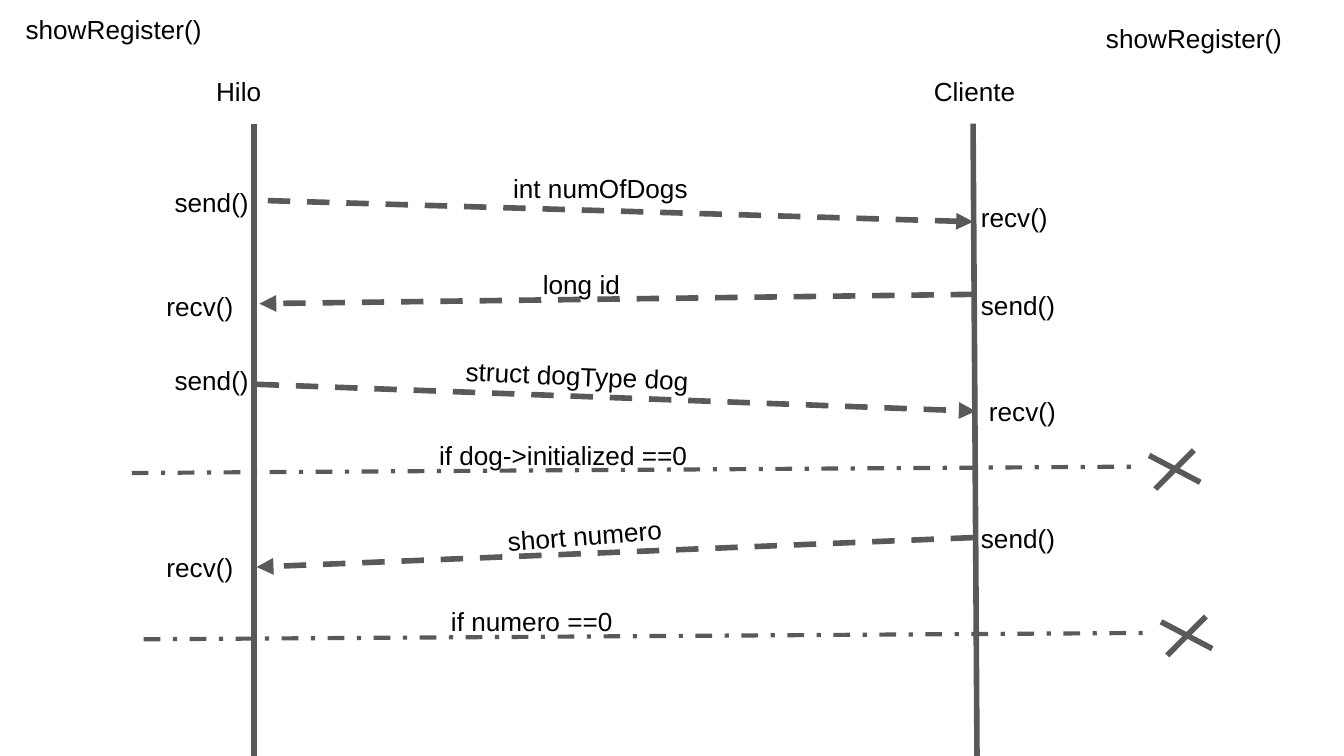
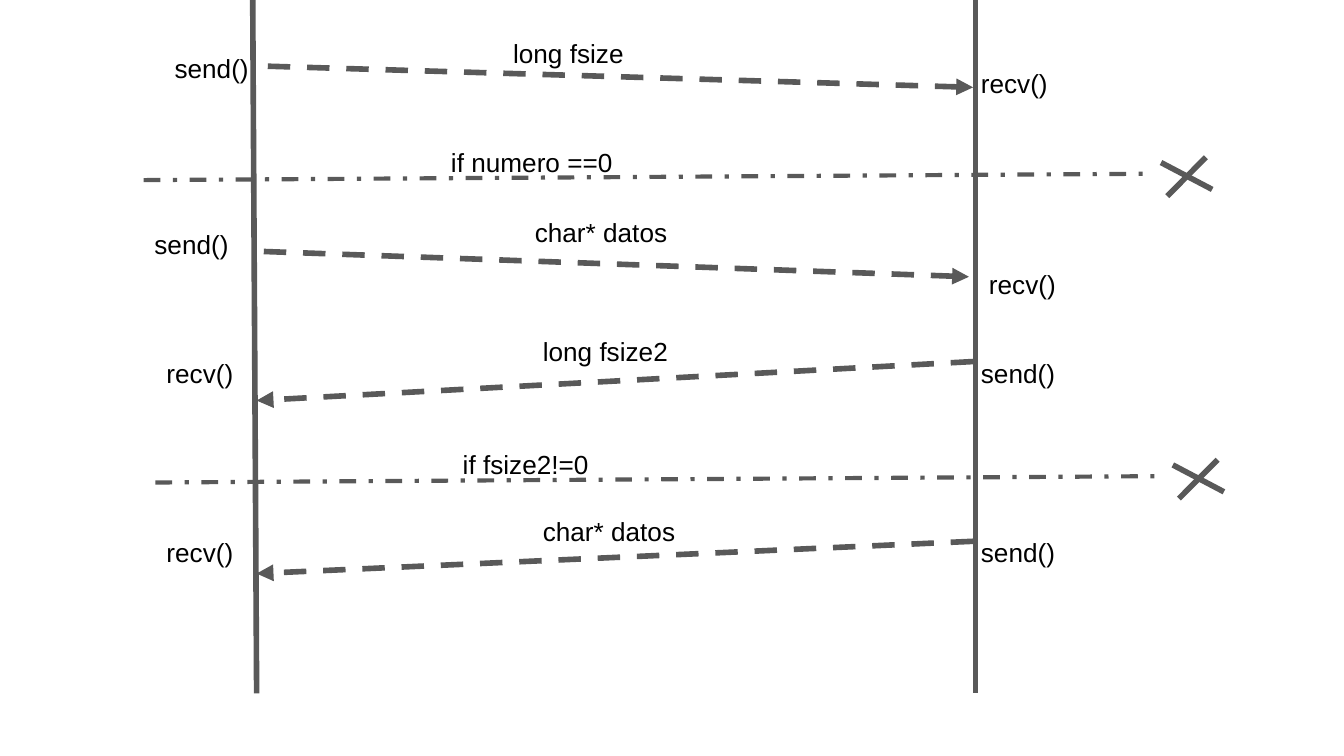
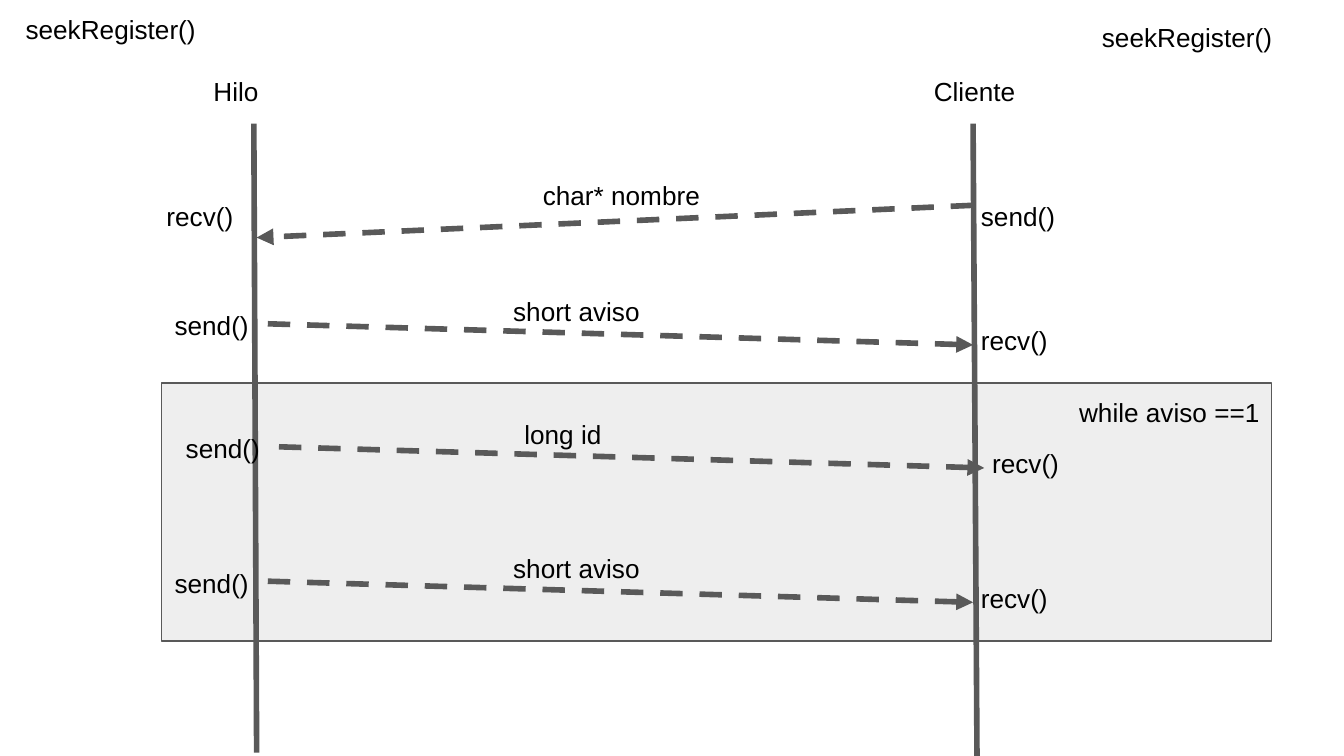
from pptx import Presentation
from pptx.dml.color import RGBColor
from pptx.enum import dml, shapes, text
from pptx.oxml.ns import qn
from pptx.util import Pt
from lxml import etree

INK, BLACK, PANEL = "595959", "000000", "EEEEEE"
DASH = dml.MSO_LINE.DASH
DASH_DOT = dml.MSO_LINE.DASH_DOT
TITLE_ONLY, BLANK = 5, 6


def rgb(value):
    return RGBColor.from_string(value)


class Diagram:
    """Style and current slide of a sequence diagram; lengths are points."""

    font, size, inset = "Arial", 14, 7.2
    send_box, recv_box, label_box = (70.6, 24.5), (61.9, 29.5), (109.4, 15.8)

    def __init__(self):
        self.prs = Presentation()
        self.prs.slide_width, self.prs.slide_height = Pt(720), Pt(405)

    def new_slide(self, layout):
        self.slide = self.prs.slides.add_slide(self.prs.slide_layouts[layout])

    # Basic elements
    def set_text(self, sp, words):
        tf = sp.text_frame
        tf.word_wrap = True
        tf.auto_size = text.MSO_AUTO_SIZE.NONE
        tf.vertical_anchor = text.MSO_ANCHOR.TOP
        tf.margin_left = tf.margin_right = Pt(self.inset)
        tf.margin_top = tf.margin_bottom = Pt(self.inset)
        p = tf.paragraphs[0]
        p.text = words
        p.alignment = text.PP_ALIGN.LEFT
        p.font.name, p.font.size = self.font, Pt(self.size)
        p.font.color.rgb = rgb(BLACK)

    def label(self, words, at, box, rotation=0):
        sp = self.slide.shapes.add_textbox(*map(Pt, (*at, *box)))
        sp.rotation = rotation
        self.set_text(sp, words)

    def title(self, words, at, box):
        sp = self.slide.shapes.title
        sp.left, sp.top, sp.width, sp.height = map(Pt, (*at, *box))
        self.set_text(sp, words)

    def line(self, start, end, width=3, dash=None, arrow=None):
        sp = self.slide.shapes.add_connector(
            shapes.MSO_CONNECTOR.STRAIGHT, *map(Pt, (*start, *end)))
        sp.line.color.rgb = rgb(INK)
        sp.line.width = Pt(width)
        if dash:
            sp.line.dash_style = dash
        sp_pr = sp._element.spPr
        if arrow:
            ln = sp_pr.find(qn("a:ln"))
            etree.SubElement(ln, qn("a:" + arrow), type="triangle")
        etree.SubElement(sp_pr, qn("a:effectLst"))

    def panel(self, at, box):
        sp = self.slide.shapes.add_shape(
            shapes.MSO_SHAPE.RECTANGLE, *map(Pt, (*at, *box)))
        sp.shadow.inherit = False
        sp.fill.solid()
        sp.fill.fore_color.rgb = rgb(PANEL)
        sp.line.color.rgb = rgb(INK)
        sp.line.width = Pt(0.75)

    # Parts of a sequence diagram
    def header(self, function, width, hilo_x, client_title):
        self.title(function, (6.5, 0), (width, 24.5))
        self.label(function, client_title, (width, 24.5))
        self.label("Hilo", (hilo_x, 33.1), (141.1, 33.1))
        self.label("Cliente", (493.2, 33.1), (144, 33.1))

    def lifelines(self, *ends):
        for start, end in ends:
            self.line(start, end)

    def message(self, words, start, end, arrow, send, recv, at,
                box=label_box, rotation=0):
        self.line(start, end, dash=DASH, arrow=arrow)
        self.label("send()", send, self.send_box)
        self.label("recv()", recv, self.recv_box)
        self.label(words, at, box, rotation)

    def to_client(self, words, y, dx=0):
        self.message(words, (521.3 + dx, y + 11.5), (137.5 + dx, y), "headEnd",
                     (86.4 + dx, y - 14.6), (518.4 + dx, y - 6.5),
                     (267.8 + dx, y - 22.3))

    def to_hilo(self, words, y, drop, end_x=137.5):
        self.message(words, (521.3, y), (end_x, y + drop), "tailEnd",
                     (518.4, y - 9.6), (82.1, y - 9.6), (283.7, y - 21))

    def exit_if(self, condition, x, y):
        self.line((x, y), (x + 538, y - 3.4), 2.25, DASH_DOT)
        self.label(condition, (x + 157.5, y - 25.4), (188.6, 23.8))
        self.line((x + 545, y - 9.4), (x + 572.4, y + 5))
        self.line((x + 569, y - 12.2), (x + 548.3, y + 8.6))


def main():
    d = Diagram()

    # showRegister(): request and first checks
    d.new_slide(TITLE_ONLY)
    d.lifelines(((136, 66.2), (136, 405)), ((521.3, 66.2), (523.4, 405)))
    d.header("showRegister()", 130.3, 108.7, (585.4, 5))
    d.to_client("int numOfDogs", 107.3)
    d.to_hilo("long id", 157.7, 5, end_x=139)
    d.message("struct dogType dog", (137.5, 205.9), (522.7, 220.3), "tailEnd",
              (86.4, 187.9), (522.7, 204.5), (242.6, 186.5), (170, 20.2), 2.6)
    d.exit_if("if dog->initialized ==0", 70.6, 253.4)
    d.message("short numero", (521.3, 288), (137.5, 303.8), "tailEnd",
              (518.4, 272.9), (82.1, 288), (264.2, 270.7), rotation=-4.3)
    d.exit_if("if numero ==0", 77, 342.5)

    # showRegister(): file exchange
    d.new_slide(BLANK)
    d.lifelines(((135.4, 0), (137.5, 371.5)), ((522.7, 0), (522.7, 371.5)))
    d.to_client("long fsize", 35.3)
    d.exit_if("if numero ==0", 77, 96.5)
    d.message("char* datos", (519.1, 148.3), (137.5, 134.6), "headEnd",
              (75.6, 115.2), (522.7, 136.8), (279.4, 108.7))
    d.to_hilo("long fsize2", 193.7, 20.9)
    d.exit_if("if fsize2!=0", 83.3, 258.5)
    d.to_hilo("char* datos", 290, 17.3)

    # seekRegister(): search and loop over matches
    d.new_slide(TITLE_ONLY)
    d.panel((86.4, 205.2), (594.7, 138.2))
    d.lifelines(((136, 66.2), (137.5, 403.2)), ((521.3, 66.2), (523.4, 405)))
    d.header("seekRegister()", 131, 107.3, (583.2, 4.3))
    d.to_hilo("char* nombre", 110, 17.3)
    d.to_client("short aviso", 173.3)
    d.label("while aviso ==1", (571, 205.2), (120.2, 27.4))
    d.to_client("long id", 239.2, dx=6)
    d.to_client("short aviso", 311.2)

    d.prs.save("out.pptx")


if __name__ == "__main__":
    main()
